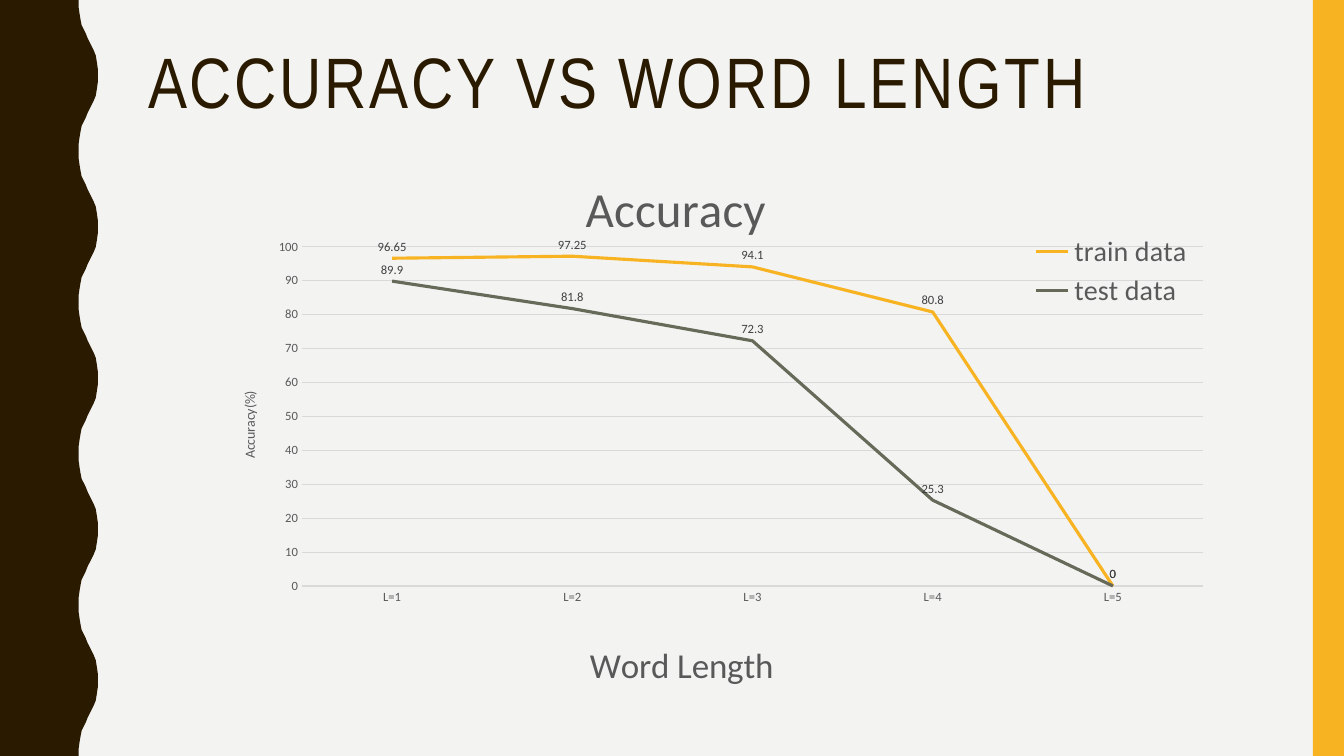
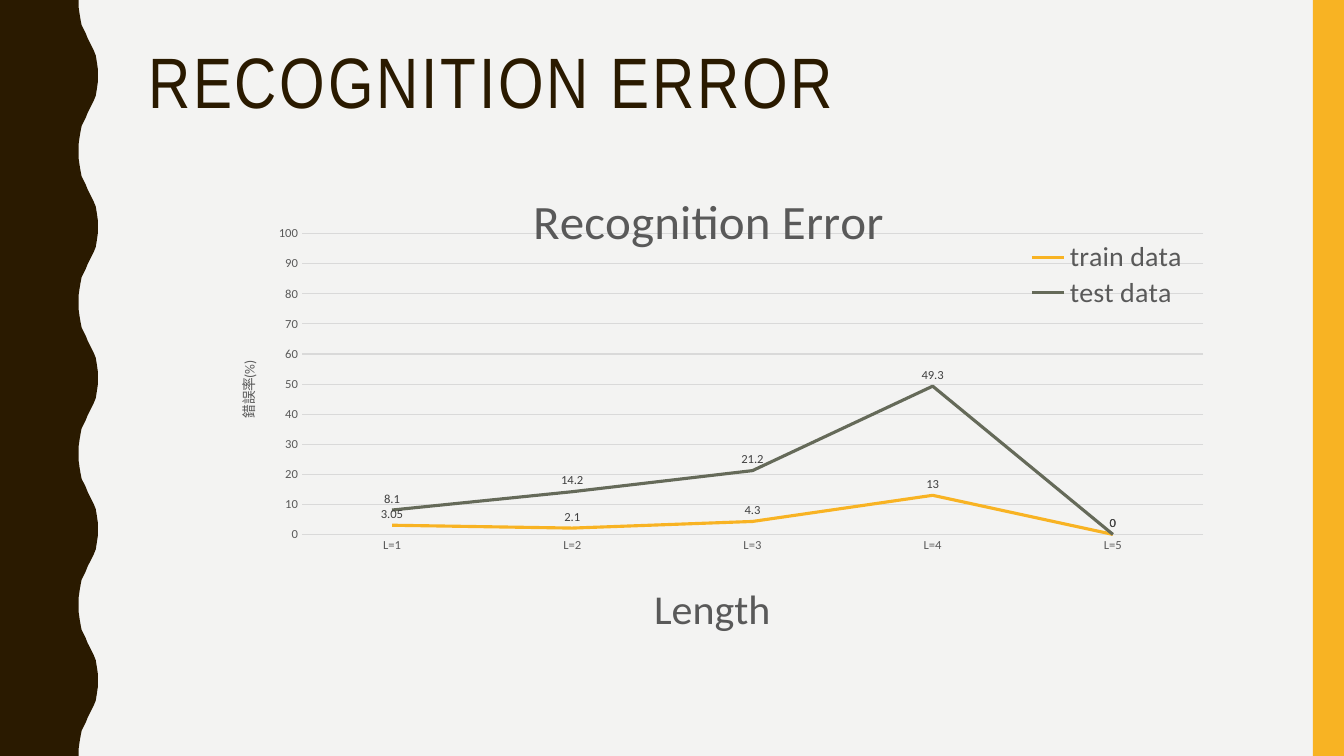
from dataclasses import dataclass
from itertools import chain

from lxml.etree import SubElement
from pptx import Presentation
from pptx.chart.chart import Chart
from pptx.chart.data import CategoryChartData as Data
from pptx.dml.color import RGBColor as Color
from pptx.enum.chart import XL_CHART_TYPE as Kind, XL_LABEL_POSITION as Spot
from pptx.enum.chart import XL_LEGEND_POSITION as Side, XL_TICK_MARK as Tick
from pptx.enum.shapes import MSO_SHAPE as Form
from pptx.enum.text import MSO_ANCHOR as Anchor
from pptx.oxml.ns import qn
from pptx.slide import Slide
from pptx.text.text import Font, TextFrame
from pptx.util import Inches, Pt

WIDE, HIGH = Inches(13.33), Inches(7.5)
UNIT = Inches(0.01)
BROWN = Color(0x2A, 0x1A, 0x00)
GOLD = Color(0xF8, 0xB3, 0x23)
OLIVE = Color(0x65, 0x6A, 0x59)
PAPER = Color(0xF3, 0xF3, 0xF2)
GRAY = Color(0x59, 0x59, 0x59)
DARK = Color(0x40, 0x40, 0x40)
PALE = Color(0xD9, 0xD9, 0xD9)
HEAD, BODY = "Arial Narrow", "Calibri"

LEFT, SPAN = 1.37, 11.13
STEPS = [f"L={n}" for n in range(1, 6)]
LINES = {"train data": GOLD, "test data": OLIVE}
PLOT = (0.146, 0.177, 0.803, 0.614)
WAVES, CYCLE = 5, 150
CURVE = [(78, 0), (78, 7), (79, 14), (80, 20), (81, 25), (83, 29), (85, 33),
         (87, 38), (89, 42), (91, 46), (93, 50), (95, 55), (96, 61), (97, 68),
         (97, 75)]


@dataclass(frozen=True)
class Label:
    text: str
    size: float
    x: float
    y: float


@dataclass(frozen=True)
class Page:
    title: str
    top: float
    tall: float
    name: Label
    base: Label
    scale: Label
    key: tuple[float, ...]
    rows: tuple[tuple[float, ...], ...]


PAGES = [
    Page("ACCURACY VS WORD LENGTH", 1.48, 5.48,
         Label("Accuracy", 35, 0.391, 0.03),
         Label("Word Length", 25, 0.397, 0.881),
         Label("Accuracy(%)", 10, 0.089, 0.433),
         (0.795, 0.147, 0.145, 0.148),
         ((96.65, 97.25, 94.1, 80.8, 0), (89.9, 81.8, 72.3, 25.3, 0))),
    Page("RECOGNITION ERROR", 1.46, 4.97,
         Label("Recognition Error", 35, 0.344, 0.064),
         Label("Length", 30, 0.453, 0.87),
         Label("錯誤率(%)", 10, 0.086, 0.431),
         (0.791, 0.187, 0.145, 0.148),
         ((3.05, 2.1, 4.3, 13, 0), (8.1, 14.2, 21.2, 49.3, 0))),
]


def style(font: Font, size: float, color: Color, face: str = BODY) -> None:
    font.size, font.name, font.bold = Pt(size), face, False
    font.color.rgb = color


def write(frame: TextFrame, text: str, *, size: float, color: Color = GRAY,
          face: str = BODY, space: float | None = None, track: int = 0) -> None:
    line = frame.paragraphs[0]
    if space:
        line.line_spacing = space
    run = line.add_run()
    run.text = text
    style(run.font, size, color, face)
    if track:
        run.font._element.set("spc", str(track * 100))


def place(chart: Chart, query: str, box: tuple[float, ...],
          inner: bool = False) -> None:
    part = chart.element.xpath(query)[0]
    for old in part.findall(qn("c:layout")):
        part.remove(old)
    layout = SubElement(part, qn("c:layout"))
    ahead = part.xpath("c:tx | c:legendPos")
    part.insert(len(ahead), layout)
    manual = SubElement(layout, qn("c:manualLayout"))
    items = [("layoutTarget", "inner")] if inner else []
    items += [("xMode", "edge"), ("yMode", "edge")]
    items += zip("xywh", box)
    for tag, value in items:
        SubElement(manual, qn(f"c:{tag}")).set("val", str(value))


def frame(slide: Slide) -> None:
    slide.background.fill.solid()
    slide.background.fill.fore_color.rgb = PAPER
    cycle = CURVE + [(x, CYCLE - y) for x, y in reversed(CURVE[:-1])]
    edge = chain.from_iterable(
        [(x, y + n * CYCLE) for x, y in cycle] for n in range(WAVES))
    path = slide.shapes.build_freeform(0, 0, scale=UNIT)
    path.add_line_segments([*edge, (0, WAVES * CYCLE)], close=True)
    wave = path.convert_to_shape()
    band = slide.shapes.add_shape(
        Form.RECTANGLE, Inches(13.02), 0, WIDE - Inches(13.02), HIGH)
    for shape, color in ((wave, BROWN), (band, GOLD)):
        shape.shadow.inherit = False
        shape.fill.solid()
        shape.fill.fore_color.rgb = color
        shape.line.fill.background()


def head(slide: Slide, text: str) -> None:
    box = slide.shapes.add_textbox(
        Inches(LEFT), Inches(0.42), Inches(SPAN), Inches(1.63))
    box.text_frame.word_wrap = True
    box.text_frame.vertical_anchor = Anchor.TOP
    write(box.text_frame, text, size=51, color=BROWN, face=HEAD,
          space=0.9, track=2)


def graph(slide: Slide, page: Page) -> None:
    data = Data()
    data.categories = STEPS
    for name, row in zip(LINES, page.rows):
        data.add_series(name, row)
    chart = slide.shapes.add_chart(
        Kind.LINE, Inches(LEFT), Inches(page.top), Inches(SPAN),
        Inches(page.tall), data).chart
    style(chart.font, 10, GRAY)

    plot = chart.plots[0]
    plot.vary_by_categories = False
    for line, color in zip(plot.series, LINES.values()):
        line.smooth = False
        line.format.line.color.rgb = color
        line.format.line.width = Pt(2.25)
    plot.has_data_labels = True
    marks = plot.data_labels
    marks.show_value, marks.position = True, Spot.ABOVE
    style(marks.font, 9, DARK)

    base, scale = chart.category_axis, chart.value_axis
    scale.minimum_scale, scale.maximum_scale, scale.major_unit = 0, 100, 10
    scale.has_major_gridlines = True
    for rule in (base.format.line, scale.major_gridlines.format.line):
        rule.color.rgb, rule.width = PALE, Pt(0.75)
    scale.format.line.fill.background()
    for axis in (base, scale):
        axis.major_tick_mark = axis.minor_tick_mark = Tick.NONE
        style(axis.tick_labels.font, 9, GRAY)

    chart.has_title = base.has_title = scale.has_title = True
    for title, label, query in (
            (chart.chart_title, page.name, "c:chart/c:title"),
            (base.axis_title, page.base, ".//c:catAx/c:title"),
            (scale.axis_title, page.scale, ".//c:valAx/c:title")):
        write(title.text_frame, label.text, size=label.size)
        place(chart, query, (label.x, label.y))
    body = chart.element.xpath(".//c:valAx/c:title//a:bodyPr")[0]
    body.set("rot", "-5400000")
    body.set("vert", "horz")

    chart.has_legend = True
    chart.legend.position = Side.RIGHT
    chart.legend.include_in_layout = False
    style(chart.legend.font, 20, GRAY)
    place(chart, "c:chart/c:legend", page.key)
    place(chart, "c:chart/c:plotArea", PLOT, inner=True)


def main() -> None:
    deck = Presentation()
    deck.slide_width, deck.slide_height = WIDE, HIGH
    for page in PAGES:
        slide = deck.slides.add_slide(deck.slide_layouts[6])
        frame(slide)
        head(slide, page.title)
        graph(slide, page)
    deck.save("out.pptx")


if __name__ == "__main__":
    main()
